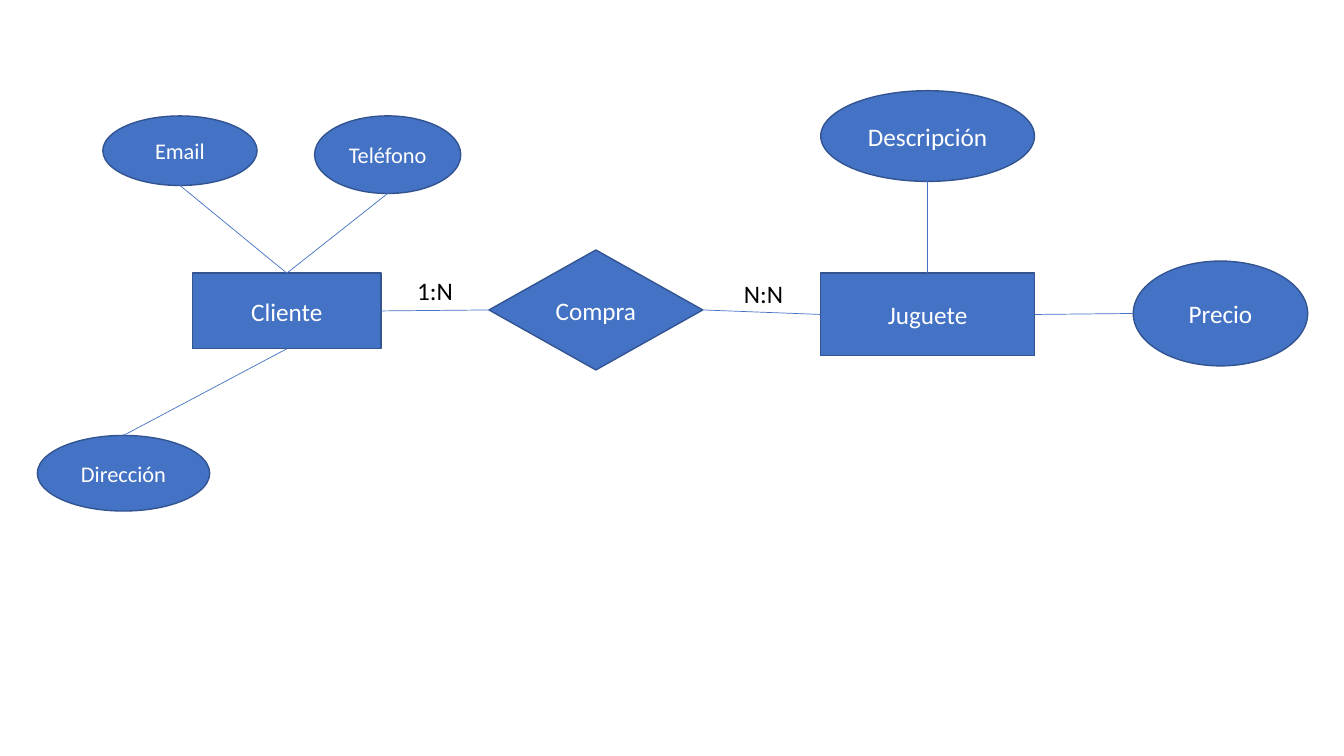
"""Build an entity-relationship slide of customers buying toys."""
from lxml import etree
from pptx import Presentation
from pptx import util as u
from pptx.dml.color import RGBColor
from pptx.enum import shapes, text
from pptx.oxml.ns import qn

COLORS = {"fill": "4472C4", "outline": "325491", "light": "FFFFFF", "dark": "000000"}
FONT = "Calibri"
TOP, LEFT, BOTTOM, RIGHT = range(4)

ENTITY = shapes.MSO_SHAPE.RECTANGLE
ATTRIBUTE = shapes.MSO_SHAPE.OVAL
RELATIONSHIP = shapes.MSO_SHAPE.DIAMOND

NODES = [
    ("Cliente", ENTITY, 1.91, 2.71, 1.87, 0.75, 18),
    ("Teléfono", ATTRIBUTE, 3.12, 1.15, 1.45, 0.77, 16),
    ("Email", ATTRIBUTE, 1.02, 1.15, 1.53, 0.69, 16),
    ("Dirección", ATTRIBUTE, 0.37, 4.32, 1.71, 0.75, 16),
    ("Compra", RELATIONSHIP, 4.85, 2.48, 2.12, 1.19, 18),
    ("Juguete", ENTITY, 8.14, 2.71, 2.12, 0.82, 18),
    ("Descripción", ATTRIBUTE, 8.14, 0.9, 2.12, 0.9, 18),
    ("Precio", ATTRIBUTE, 11.24, 2.59, 1.73, 1.04, 18),
]

LINKS = [
    ("Teléfono", BOTTOM, "Cliente", TOP),
    ("Email", BOTTOM, "Cliente", TOP),
    ("Dirección", TOP, "Cliente", BOTTOM),
    ("Cliente", RIGHT, "Compra", LEFT),
    ("Compra", RIGHT, "Juguete", LEFT),
    ("Juguete", TOP, "Descripción", BOTTOM),
    ("Juguete", RIGHT, "Precio", LEFT),
]

CARDINALITIES = [("1:N", 4.04, 2.68, 0.87), ("N:N", 7.28, 2.71, 0.69)]


def color(name):
    """Return the named colour."""
    return RGBColor.from_string(COLORS[name])


def write(shape, words, size, color_name):
    """Put one formatted line of text in a shape."""
    shape.text_frame.text = words
    shape.text_frame.word_wrap = True
    paragraph = shape.text_frame.paragraphs[0]
    font = paragraph.runs[0].font
    font.name = FONT
    font.size = u.Pt(size)
    font.color.rgb = color(color_name)
    return paragraph


def add_node(slide, words, kind, left, top, width, height, size):
    """Add an entity, attribute or relationship."""
    shape = slide.shapes.add_shape(
        kind, u.Inches(left), u.Inches(top), u.Inches(width), u.Inches(height))
    shape.shadow.inherit = False
    shape.fill.solid()
    shape.fill.fore_color.rgb = color("fill")
    shape.line.color.rgb = color("outline")
    shape.line.width = u.Pt(1)
    shape.text_frame.vertical_anchor = text.MSO_ANCHOR.MIDDLE
    write(shape, words, size, "light").alignment = text.PP_ALIGN.CENTER
    return shape


def side_point(shape, side):
    """Return the middle of one side of a shape."""
    center = shape.left + shape.width // 2
    middle = shape.top + shape.height // 2
    return {
        TOP: (center, shape.top),
        LEFT: (shape.left, middle),
        BOTTOM: (center, shape.top + shape.height),
        RIGHT: (shape.left + shape.width, middle),
    }[side]


def add_link(slide, start, start_side, end, end_side):
    """Draw a line between the sides of two nodes."""
    connector = slide.shapes.add_connector(
        shapes.MSO_CONNECTOR.STRAIGHT,
        *side_point(start, start_side), *side_point(end, end_side))
    if start.auto_shape_type != ATTRIBUTE:
        connector.begin_connect(start, start_side)
    if end.auto_shape_type != ATTRIBUTE:
        connector.end_connect(end, end_side)
    connector.line.color.rgb = color("fill")
    connector.line.width = u.Pt(0.5)
    etree.SubElement(connector._element.spPr, qn("a:effectLst"))


def add_cardinality(slide, words, left, top, width):
    """Add a cardinality label above a link."""
    label = slide.shapes.add_textbox(
        u.Inches(left), u.Inches(top), u.Inches(width), u.Inches(0.4))
    write(label, words, 18, "dark")
    label.text_frame.auto_size = text.MSO_AUTO_SIZE.SHAPE_TO_FIT_TEXT


def main():
    """Build and save the presentation."""
    presentation = Presentation()
    presentation.slide_width = u.Inches(13.33)
    presentation.slide_height = u.Inches(7.5)
    slide = presentation.slides.add_slide(presentation.slide_layouts[6])
    nodes = {node[0]: add_node(slide, *node) for node in NODES}
    for start, start_side, end, end_side in LINKS:
        add_link(slide, nodes[start], start_side, nodes[end], end_side)
    for cardinality in CARDINALITIES:
        add_cardinality(slide, *cardinality)
    presentation.save("out.pptx")


if __name__ == "__main__":
    main()
